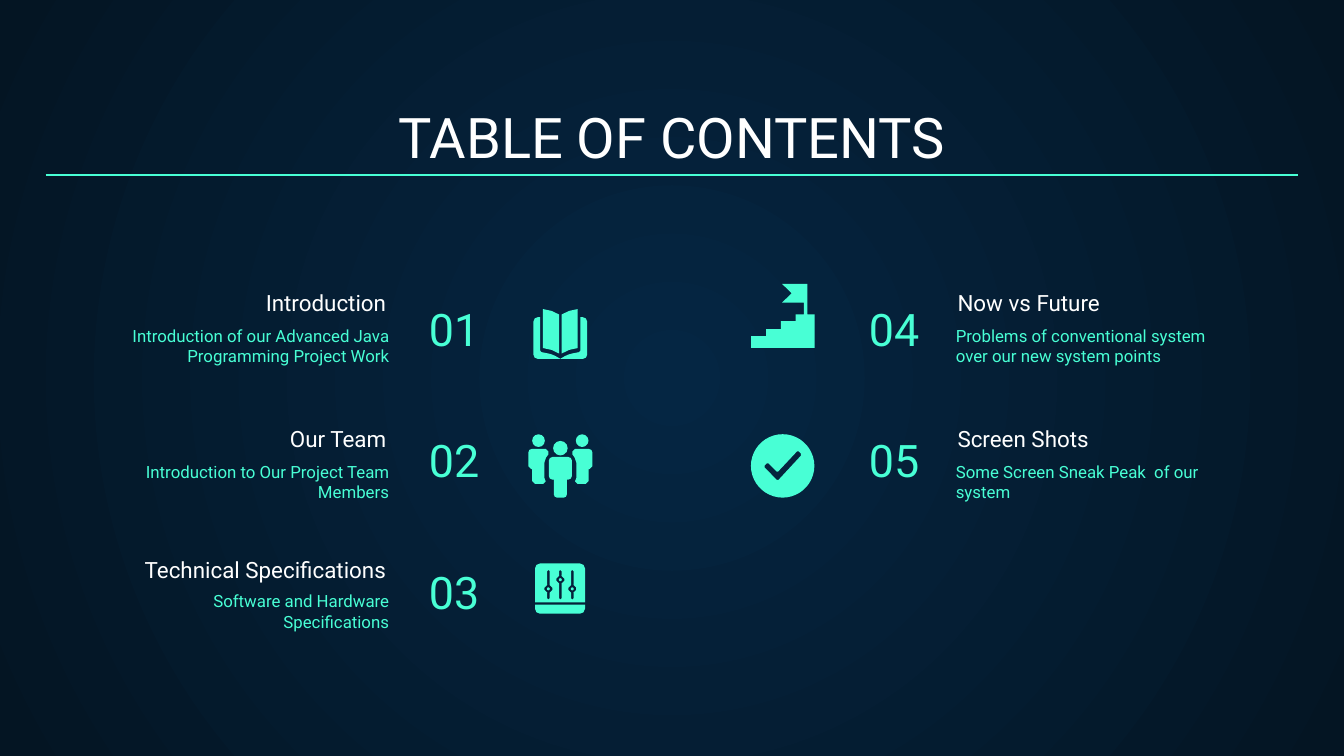
import math
from dataclasses import dataclass

from lxml import etree
from pptx import Presentation
from pptx import util as u
from pptx.dml.color import RGBColor
from pptx.enum import shapes, text
from pptx.oxml.ns import qn


@dataclass(frozen=True)
class Theme:
    font: str = "Roboto"
    white: str = "FFFFFF"
    mint: str = "48FFD5"
    glow: str = "052643"
    night: str = "041523"
    title: float = 30
    number: float = 24
    heading: float = 12
    note: float = 9


THEME = Theme()
LEFT, RIGHT = text.PP_ALIGN.LEFT, text.PP_ALIGN.RIGHT

TITLE = "TABLE OF CONTENTS"
TOPICS = [  # number, heading, note, column, row
    ("01", "Introduction", "Introduction of our Advanced Java Programming Project Work", "left", 0),
    ("02", "Our Team", "Introduction to Our Project Team Members", "left", 1),
    ("03", "Technical Specifications", "Software and Hardware Specifications", "left", 2),
    ("04", "Now vs Future", "Problems of conventional system over our new system points", "right", 0),
    ("05", "Screen Shots", "Some Screen Sneak Peak  of our system", "right", 1),
]

# Left edge, width and alignment of each text in a column
COLUMNS = {
    "left": {"heading": (50.7, 163.4, RIGHT), "note": (57.1, 158.4, RIGHT), "number": (222.7, 92.9, LEFT)},
    "right": {"heading": (505.9, 163.4, LEFT), "note": (505, 149, LEFT), "number": (406.7, 92.9, RIGHT)},
}
HEADING_TOPS = (161.6, 234.4, 304.6)
NOTE_TOPS = (167.1, 240, 309.5)
NUMBER_TOP, NUMBER_STEP = 150.1, 70.45
AXIS = 300.2  # centre line of the icons in the left column


def mirror(outline):
    return [(2 * AXIS - x, y, *radius) for x, y, *radius in outline]


def rounded_box(left, top, width, height, radius):
    right, bottom = left + width, top + height
    return [(left, top, radius), (right, top, radius), (right, bottom, radius), (left, bottom, radius)]


def fader_slot(x, knob):
    """Outline of a thin slot that widens around its knob."""
    half = [(0.65, 305.5, 0.5), (0.65, knob - 2.1), (2.1, knob - 2.1, 1.5),
            (2.1, knob + 2.1, 1.5), (0.65, knob + 2.1), (0.65, 321.1, 0.5)]
    return [(x + dx, *rest) for dx, *rest in half] + [(x - dx, *rest) for dx, *rest in reversed(half)]


COVER = [(285.8, 169.9, 2.4), (289.4, 169.9), (289.4, 188.5, 0.7), (296, 189.8, 2),
         (300.2, 192.2), (285.8, 192.2, 2.2)]
PAGE = [(290.9, 165.6), (295.5, 166.6), (299.5, 168.5), (299.5, 189.4), (295.5, 187.5), (290.9, 186.5)]
MATE = [(283, 240.5, 2), (293.8, 240.5, 1.5), (293.8, 243.4), (291.6, 246.5, 1.5), (291.6, 256),
        (292.3, 257.8), (292.3, 259.2, 1.2), (285.1, 259.2, 1.4), (285.1, 251.3), (283, 251.3, 1.5)]
LEADER_HALF = [(294, 244.8, 2), (294, 257, 2), (296.7, 257), (296.7, 266.6, 1.7)]
LEADER = LEADER_HALF + mirror(LEADER_HALF)[::-1]
STAIRS = [(419, 152.1), (424.1, 157.1), (419, 162.1), (430.6, 162.1), (430.6, 168.4), (426.2, 168.4),
          (426.2, 172.1), (418.3, 172.1), (418.3, 176.3), (410.4, 176.3), (410.4, 180.1), (402.4, 180.1),
          (402.4, 186.3), (436.4, 186.3), (436.4, 168.4), (432.6, 168.4), (432.6, 152.1)]
TICK = [(427.5, 241.3, 0.7), (429.6, 243.6, 0.7), (416.6, 257.6, 0.7), (409.1, 249.9, 0.7),
        (411.2, 247.8, 0.7), (416.5, 253, 0.4)]
FADERS = [(293.8, 315.5), (AXIS, 310.6), (306.6, 315.5)]
PANEL = [(286.6, 322.7), (286.6, 301.9, 2.7), (313.4, 301.9, 2.7), (313.4, 322.7)]
BASE = [(286.6, 323.9), (313.4, 323.9), (313.4, 328.8, 2.7), (286.6, 328.8, 2.7)]

# Parts are lists of outlines (those after the first are holes); dots are centre x, centre y, diameter
ICONS = [
    {"parts": [[COVER], [mirror(COVER)], [PAGE], [mirror(PAGE)]]},
    {"parts": [[MATE], [mirror(MATE)], [LEADER]],
     "dots": [(288.5, 236.1, 6.8), (311.9, 236.1, 6.8), (AXIS, 240.1, 7.8)]},
    {"parts": [[PANEL] + [fader_slot(*fader) for fader in FADERS], [BASE]],
     "dots": [(x, y, 1.6) for x, y in FADERS]},
    {"parts": [[STAIRS]]},
    {"parts": [[rounded_box(402.3, 232.6, 34, 34, 17), TICK]]},
]


def smooth(outline):
    """Replace each corner that has a radius by points along a curve."""
    points = []
    for i, (x, y, *radius) in enumerate(outline):
        if not radius:
            points.append((x, y))
            continue
        ends = []
        for other in (outline[i - 1], outline[(i + 1) % len(outline)]):
            share = radius[0] / math.dist((x, y), other[:2])
            ends.append((x + (other[0] - x) * share, y + (other[1] - y) * share))
        (x0, y0), (x3, y3) = ends
        steps = 1 + int(radius[0] * 0.6)
        for step in range(steps + 1):
            t = step / steps
            start = (1 - t) ** 3 + 3 * (1 - t) ** 2 * t * 0.45
            end = t ** 3 + 3 * (1 - t) * t ** 2 * 0.45
            corner = 1 - start - end
            points.append((x0 * start + x * corner + x3 * end, y0 * start + y * corner + y3 * end))
    return [(px * 100, py * 100) for px, py in points]


def paint(shape):
    shape.shadow.inherit = False
    shape.fill.solid()
    shape.fill.fore_color.rgb = RGBColor.from_string(THEME.mint)
    shape.line.fill.background()


def draw_icon(page, parts, dots=()):
    drawn = []
    for outlines in parts:
        first, *holes = [smooth(outline) for outline in outlines]
        builder = page.shapes.build_freeform(*first[0], scale=u.Pt(0.01))
        builder.add_line_segments(first[1:])
        for hole in holes:
            builder.move_to(*hole[0])
            builder.add_line_segments(hole[1:])
        drawn.append(builder.convert_to_shape())
    for x, y, size in dots:
        drawn.append(page.shapes.add_shape(shapes.MSO_SHAPE.OVAL, u.Pt(x - size / 2), u.Pt(y - size / 2),
                                           u.Pt(size), u.Pt(size)))
    for shape in drawn:
        paint(shape)
    if len(drawn) > 1:
        page.shapes.add_group_shape(drawn)


def write(box, words, size, color, align, anchor):
    frame = box.text_frame
    frame.word_wrap = True
    frame.auto_size = text.MSO_AUTO_SIZE.NONE
    frame.vertical_anchor = anchor
    frame.margin_left = frame.margin_right = frame.margin_top = frame.margin_bottom = u.Pt(7.2)
    para = frame.paragraphs[0]
    para.text = words
    para.alignment = align
    para.font.name, para.font.size = THEME.font, u.Pt(size)
    para.font.color.rgb = RGBColor.from_string(color)


def add_text(page, words, place, top, height, size, color, anchor=text.MSO_ANCHOR.BOTTOM):
    left, width, align = place
    box = page.shapes.add_textbox(u.Pt(left), u.Pt(top), u.Pt(width), u.Pt(height))
    write(box, words, size, color, align, anchor)


def paint_background(page):
    fill = page.background.fill
    fill.gradient()
    for stop, color in zip(fill.gradient_stops, (THEME.glow, THEME.night)):
        stop.color.rgb = RGBColor.from_string(color)
    linear = page.background._cSld.find(".//" + qn("a:lin"))
    gradient = linear.getparent()
    radial = etree.SubElement(gradient, qn("a:path"), path="circle")
    etree.SubElement(radial, qn("a:fillToRect"), l="50000", t="50000", r="50000", b="50000")
    gradient.replace(linear, radial)


def main():
    deck = Presentation()
    deck.slide_width, deck.slide_height = u.Pt(720), u.Pt(405)
    page = deck.slides.add_slide(deck.slide_layouts[5])
    paint_background(page)

    title = page.shapes.title
    title.left, title.top, title.width, title.height = u.Pt(24.5), u.Pt(50.8), u.Pt(671), u.Pt(47.5)
    write(title, TITLE, THEME.title, THEME.white, text.PP_ALIGN.CENTER, text.MSO_ANCHOR.BOTTOM)

    rule = page.shapes.add_connector(shapes.MSO_CONNECTOR.STRAIGHT, u.Pt(24.5), u.Pt(93.7),
                                     u.Pt(695.5), u.Pt(93.7))
    rule.line.color.rgb = RGBColor.from_string(THEME.mint)
    rule.line.width = u.Pt(0.75)
    etree.SubElement(rule._element.spPr, qn("a:effectLst"))

    for number, heading, note, column, row in TOPICS:
        places = COLUMNS[column]
        add_text(page, note, places["note"], NOTE_TOPS[row], 39.6, THEME.note, THEME.mint,
                 text.MSO_ANCHOR.TOP)
        add_text(page, number, places["number"], NUMBER_TOP + NUMBER_STEP * row, 47.5,
                 THEME.number, THEME.mint)
        add_text(page, heading, places["heading"], HEADING_TOPS[row], 15.1, THEME.heading, THEME.white)

    for icon in ICONS:
        draw_icon(page, **icon)
    deck.save("out.pptx")


if __name__ == "__main__":
    main()
